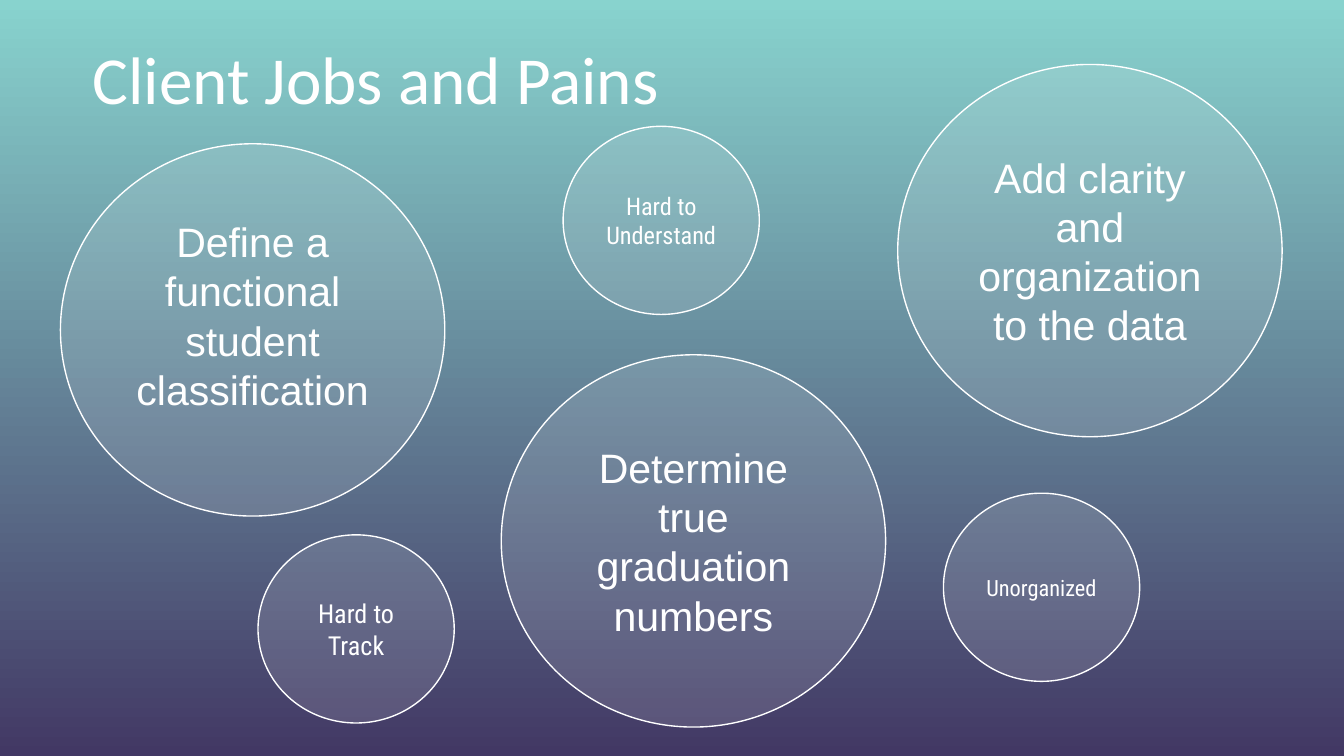
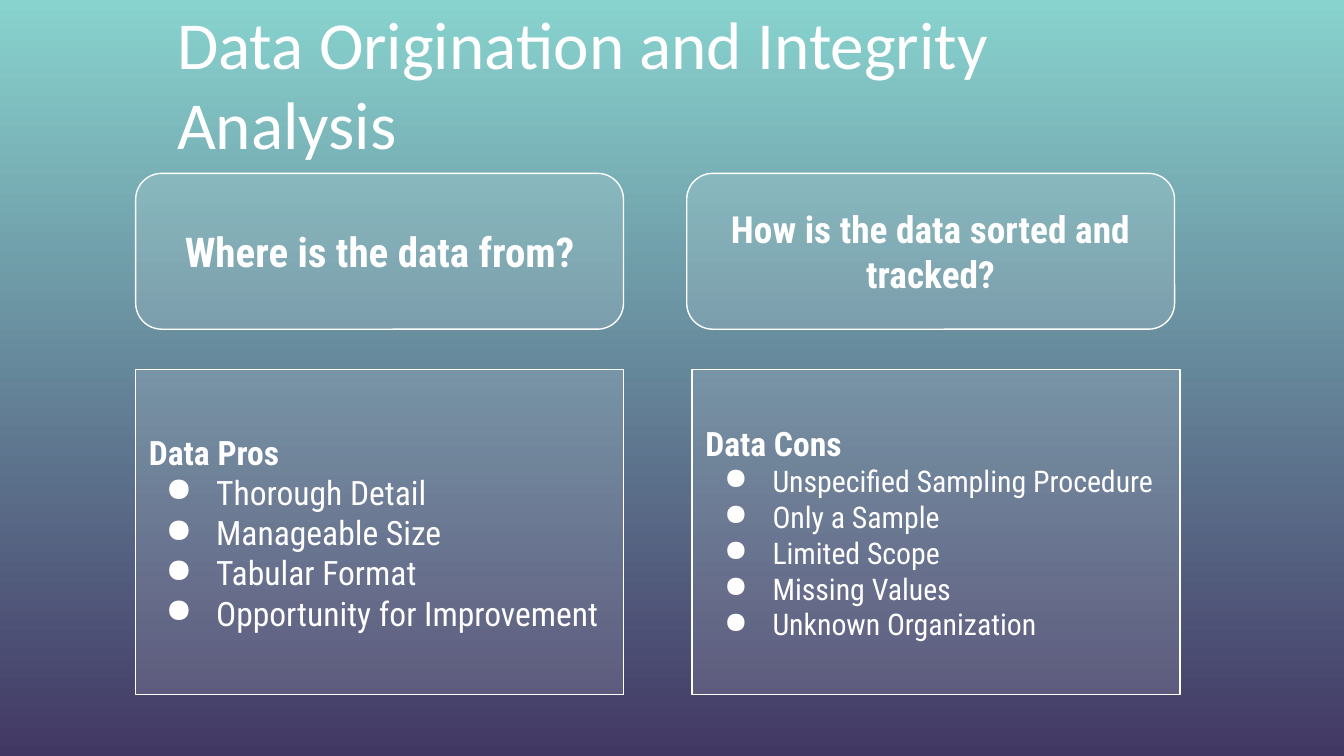
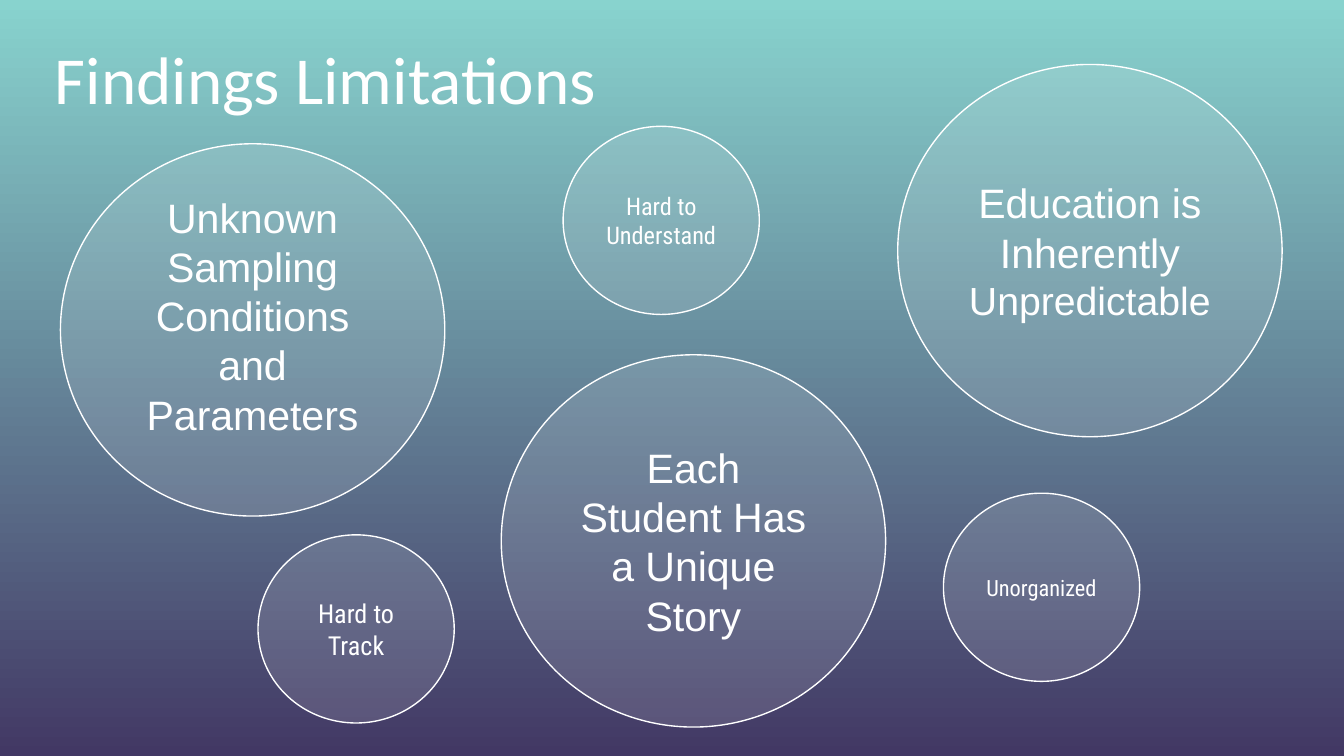
import pptx
import pptx.dml.color
import pptx.enum.shapes
import pptx.enum.text
import pptx.oxml.ns
import pptx.util
from lxml import etree

SHAPE = pptx.enum.shapes.MSO_SHAPE
ALIGN = pptx.enum.text.PP_ALIGN

# The grid has 100 columns across the slide; its cells are square.
SLIDE_WIDTH = pptx.util.Inches(10)
SLIDE_HEIGHT = pptx.util.Inches(5.625)
CELL = SLIDE_WIDTH // 100

WHITE = "FFFFFF"
SKY = "88D3CE"
DUSK = "423864"
GLASS_OPACITY = 12
TITLE_FONT = "Calibri"
GOAL_FONT = "Arial"
BODY_FONT = "Roboto Condensed"

GOAL_SIZE = (28.6, 27.7)
PAIN_SIZE = (14.6, 14)
GOAL_SPOTS = [(66.8, 4.8), (37.3, 26.4), (4.5, 10.7)]
PAINS = [
    ("Hard to Track", 14, (19.2, 39.8)),
    ("Unorganized", 12, (70.2, 36.7)),
    ("Hard to Understand", 13, (41.9, 9.4)),
]
LAST_GOAL_LIFT = 2.2

CARD_WIDTH = 36.3
QUESTION_TOP, QUESTION_HEIGHT = 12.9, 11.6
LIST_TOP, LIST_HEIGHT = 27.5, 24.2


def cells(count):
    return pptx.util.Emu(round(count * CELL))


def rgb(color):
    return pptx.dml.color.RGBColor.from_string(color)


def paint_background(master):
    fill = master.background.fill
    fill.gradient()
    fill.gradient_angle = 270
    for stop, position, color in zip(fill.gradient_stops, (0, 1), (SKY, DUSK)):
        stop.position = position
        stop.color.rgb = rgb(color)


def add_slide(deck):
    return deck.slides.add_slide(deck.slide_layouts[6])


def set_frame(shape, lift=0):
    """Centre the text vertically; lift raises it by half that many cells."""
    frame = shape.text_frame
    frame.word_wrap = True
    frame.vertical_anchor = pptx.enum.text.MSO_ANCHOR.MIDDLE
    frame.margin_left = frame.margin_right = frame.margin_top = cells(1)
    frame.margin_bottom = cells(1 + lift)
    return frame


def write(para, text, size, font=BODY_FONT, bold=False, align=ALIGN.LEFT):
    para.alignment = align
    span = para.add_run()
    span.text = text
    span.font.size = pptx.util.Pt(size)
    span.font.name = font
    span.font.bold = bold
    span.font.color.rgb = rgb(WHITE)


def add_bullet(para, hanging):
    properties = para._p.get_or_add_pPr()
    properties.set("marL", str(cells(5)))
    properties.set("indent", str(-cells(hanging)))
    bullet = etree.SubElement(properties, pptx.oxml.ns.qn("a:buChar"))
    bullet.set("char", "●")


def add_title(slide, text, left, top, width):
    box = slide.shapes.add_textbox(cells(left), cells(top), cells(width), cells(7.3))
    write(set_frame(box).paragraphs[0], text, 36, font=TITLE_FONT)


def add_glass(slide, kind, left, top, width, height):
    """Add a translucent white shape with a thin white outline."""
    shape = slide.shapes.add_shape(
        kind, cells(left), cells(top), cells(width), cells(height))
    shape.shadow.inherit = False
    shape.fill.solid()
    shape.fill.fore_color.rgb = rgb(WHITE)
    color = shape.fill._xPr.find(".//" + pptx.oxml.ns.qn("a:srgbClr"))
    alpha = etree.SubElement(color, pptx.oxml.ns.qn("a:alpha"))
    alpha.set("val", str(GLASS_OPACITY * 1000))
    shape.line.color.rgb = rgb(WHITE)
    shape.line.width = pptx.util.Pt(0.75)
    return shape


def add_bubble(slide, spot, extent, spans, font, lift=0):
    bubble = add_glass(slide, SHAPE.OVAL, *spot, *extent)
    para = set_frame(bubble, lift).paragraphs[0]
    for text, size in spans:
        write(para, text, size, font=font, align=ALIGN.CENTER)


def add_bubble_slide(deck, title, title_left, goals):
    slide = add_slide(deck)
    add_title(slide, title, title_left, 2.1, 89.5)
    lifts = (0, 0, LAST_GOAL_LIFT)
    for spot, spans, lift in zip(GOAL_SPOTS, goals, lifts):
        add_bubble(slide, spot, GOAL_SIZE, spans, GOAL_FONT, lift)
    for text, size, spot in PAINS:
        add_bubble(slide, spot, PAIN_SIZE, [(text, size)], BODY_FONT)


def add_list_card(slide, left, heading, items, size, hanging):
    card = add_glass(slide, SHAPE.RECTANGLE, left, LIST_TOP, CARD_WIDTH, LIST_HEIGHT)
    frame = set_frame(card)
    write(frame.paragraphs[0], heading, 18, bold=True)
    for item in items:
        para = frame.add_paragraph()
        add_bullet(para, hanging)
        write(para, item, size)


def add_question_card(slide, left, text, size):
    card = add_glass(slide, SHAPE.ROUNDED_RECTANGLE, left, QUESTION_TOP,
                     CARD_WIDTH, QUESTION_HEIGHT)
    write(set_frame(card).paragraphs[0], text, size, bold=True, align=ALIGN.CENTER)


def add_analysis_slide(deck):
    slide = add_slide(deck)
    add_title(slide, "Data Origination and Integrity Analysis", 12.2, 2.5, 75.6)
    add_list_card(slide, 10.1, "Data Pros", [
        "Thorough Detail", "Manageable Size", "Tabular Format",
        "Opportunity for Improvement"], 18, 3.75)
    add_list_card(slide, 51.5, "Data Cons", [
        "Unspecified Sampling Procedure", "Only a Sample", "Limited Scope",
        "Missing Values", "Unknown Organization"], 16, 3.6)
    add_question_card(slide, 10.1, "Where is the data from?", 22)
    add_question_card(slide, 51.1, "How is the data sorted and tracked?", 20)


def main():
    deck = pptx.Presentation()
    deck.slide_width = SLIDE_WIDTH
    deck.slide_height = SLIDE_HEIGHT
    paint_background(deck.slide_master)
    add_bubble_slide(deck, "Client Jobs and Pains", 5.9, [
        [("Add clarity and organization to the data", 22)],
        [("Determine true graduation numbers", 22)],
        [("Define a functional student classification", 22)],
    ])
    add_analysis_slide(deck)
    add_bubble_slide(deck, "Findings Limitations", 3.1, [
        [("Education is Inherently ", 22), ("Unpredictable", 21)],
        [("Each Student Has a Unique Story", 22)],
        [("Unknown Sampling Conditions and Parameters", 22)],
    ])
    deck.save("out.pptx")


if __name__ == "__main__":
    main()
